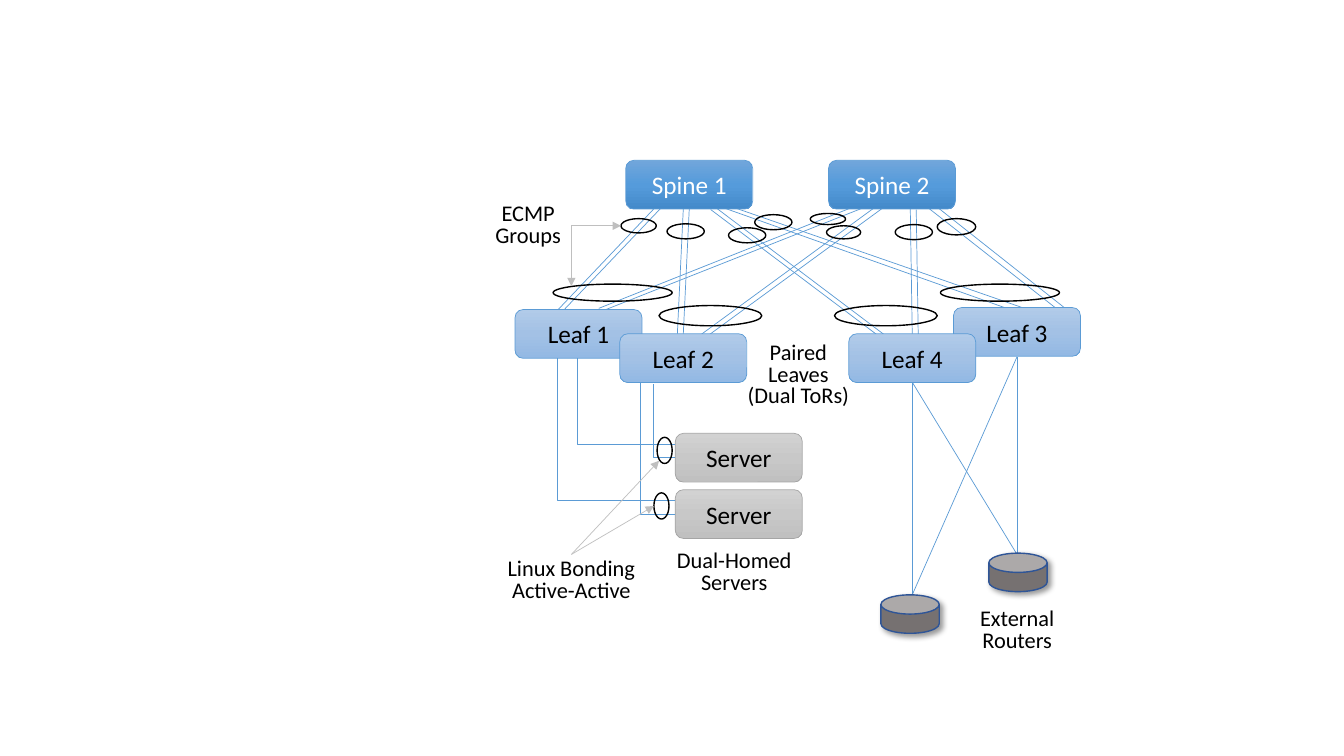
from copy import deepcopy
from itertools import product

from lxml import etree
from pptx import Presentation
from pptx.dml.color import RGBColor
from pptx.enum.shapes import MSO_CONNECTOR, MSO_SHAPE
from pptx.enum.text import MSO_ANCHOR, MSO_AUTO_SIZE, PP_ALIGN
from pptx.oxml.ns import qn
from pptx.util import Cm, Pt

ROUNDED, ELLIPSE, CAN = MSO_SHAPE.ROUNDED_RECTANGLE, MSO_SHAPE.OVAL, MSO_SHAPE.CAN
STRAIGHT, ELBOW = MSO_CONNECTOR.STRAIGHT, MSO_CONNECTOR.ELBOW
CENTER, MIDDLE = PP_ALIGN.CENTER, MSO_ANCHOR.MIDDLE
FIT_TEXT = MSO_AUTO_SIZE.SHAPE_TO_FIT_TEXT

BLACK = RGBColor(0x00, 0x00, 0x00)
WHITE = RGBColor(0xFF, 0xFF, 0xFF)
BLUE = RGBColor(0x5B, 0x9B, 0xD5)
GREY = RGBColor(0xA5, 0xA5, 0xA5)
ARROW_GREY = RGBColor(0xBF, 0xBF, 0xBF)
ROUTER_FILL = RGBColor(0x76, 0x71, 0x71)
ROUTER_LINE = RGBColor(0x2F, 0x55, 0x97)
SPINE_FILL = (RGBColor(0x71, 0xA6, 0xDB), RGBColor(0x55, 0x9B, 0xDB), RGBColor(0x44, 0x8A, 0xCA))
LEAF_FILL = (RGBColor(0xB1, 0xCB, 0xE9), RGBColor(0xA3, 0xC1, 0xE5), RGBColor(0x93, 0xB9, 0xE4))
SERVER_FILL = (RGBColor(0xD2, 0xD2, 0xD2), RGBColor(0xC8, 0xC8, 0xC8), RGBColor(0xC0, 0xC0, 0xC0))

# Each kind of node: gradient, line colour, text colour
SPINE = (SPINE_FILL, BLUE, WHITE)
LEAF = (LEAF_FILL, BLUE, BLACK)
SERVER = (SERVER_FILL, GREY, BLACK)

SERVER_LEFT = 17.02

# All positions below are in centimetres
SPINE_LINKS = [
    (16.64, 5.26, 14.22, 7.8), (16.48, 5.26, 14, 7.87),
    (17.37, 5.26, 17.22, 8.41), (17.22, 5.26, 17.07, 8.41),
    (18.01, 5.21, 22.28, 8.43), (17.91, 5.28, 22.2, 8.51),
    (18.44, 5.21, 25.76, 7.75), (18.16, 5.21, 26.16, 8.05),
    (21.77, 5.23, 15.27, 7.8), (21.59, 5.18, 15.09, 7.77),
    (22.45, 4.93, 17.53, 8.53), (22.81, 4.83, 17.88, 8.43),
    (22.94, 5.26, 22.99, 8.41), (23.09, 5.28, 23.14, 8.43),
    (23.42, 5.26, 26.59, 7.75), (23.67, 5.26, 26.82, 7.75),
]
LEAF_EXITS = [(22.99, 9.63), (25.63, 8.99)]
ROUTER_TOPS = [(25.63, 13.97), (22.99, 14.99)]
SERVER_LINKS = [(16.46, 9.68, 11.53), (16.15, 9.63, 12.95), (14.55, 9.02, 11.2), (14.05, 9.02, 12.6)]
SERVERS = [("Server", SERVER_LEFT, 10.92), ("Server", SERVER_LEFT, 12.34)]
SPINES = [("Spine 1", 15.77, 4.04), ("Spine 2", 20.88, 4.04)]
LEAVES = [("Leaf 1", 12.98, 7.8), ("Leaf 2", 15.62, 8.41),
          ("Leaf 3", 24.03, 7.75), ("Leaf 4", 21.39, 8.41)]
LINK_GROUPS = [
    (15.65, 5.51, 0.89, 0.36), (16.81, 5.64, 0.94, 0.38), (18.36, 5.74, 0.94, 0.38),
    (19.02, 5.41, 0.94, 0.38), (20.42, 5.38, 0.89, 0.28), (20.83, 5.69, 0.86, 0.33),
    (22.56, 5.66, 0.94, 0.38), (23.62, 5.51, 0.97, 0.41),
    (13.94, 7.16, 3, 0.43), (23.7, 7.16, 3, 0.43),
    (16.61, 7.7, 2.59, 0.51), (21.03, 7.7, 2.59, 0.51),
    (16.56, 11.02, 0.38, 0.66), (16.48, 12.42, 0.38, 0.66),
]
ARROWS = [
    (14.4, 5.69, 15.65, 5.69), (14.4, 5.69, 14.4, 7.21),
    (14.4, 13.97, 16.61, 11.61), (14.4, 13.97, 16.48, 12.75),
]
LABELS = [
    ("ECMP\nGroups", 12.22, 5.03, 2.18, 1.35),
    ("Paired\nLeaves\n(Dual ToRs)", 18.57, 8.53, 3.1, 1.9),
    ("Dual-Homed\nServers", 16.79, 13.77, 3.43, 1.35),
    ("Linux Bonding\nActive-Active", 12.52, 13.97, 3.76, 1.35),
    ("External\nRouters", 24.43, 15.24, 2.41, 1.35),
]
ROUTERS = [(24.92, 13.94), (22.2, 14.99)]


class NetworkDiagram:
    font_name = "Calibri"
    node_size = (3.2, 1.23)
    router_size = (1.47, 0.97)

    def __init__(self, slide):
        self.slide = slide

    def shape(self, kind, box, line_color, line_width):
        shape = self.slide.shapes.add_shape(kind, *map(Cm, box))
        shape.shadow.inherit = False
        shape.fill.background()
        shape.line.color.rgb = line_color
        shape.line.width = Pt(line_width)
        return shape

    def fill_text(self, text_frame, text, size, color, line_spacing=1.0):
        text_frame.text = text
        for paragraph in text_frame.paragraphs:
            paragraph.alignment = CENTER
            paragraph.line_spacing = line_spacing
            for run in paragraph.runs:
                run.font.name = self.font_name
                run.font.size = Pt(size)
                run.font.color.rgb = color

    def node(self, text, left, top, style):
        gradient, line_color, text_color = style
        shape = self.shape(ROUNDED, (left, top, *self.node_size), line_color, 0.5)
        shape.fill.gradient()
        shape.fill.gradient_angle = 270
        stop_list = shape.element.spPr.find(qn("a:gradFill")).find(qn("a:gsLst"))
        stop_list.append(deepcopy(stop_list[0]))
        for index, (stop, color) in enumerate(zip(shape.fill.gradient_stops, gradient)):
            stop.position = index / 2
            stop.color.rgb = color
        shape.text_frame.vertical_anchor = MIDDLE
        self.fill_text(shape.text_frame, text, 18, text_color)

    def group_ring(self, *box):
        self.shape(ELLIPSE, box, BLACK, 1)

    def router(self, left, top):
        shape = self.shape(CAN, (left, top, *self.router_size), ROUTER_LINE, 1)
        shape.adjustments[0] = 0.5
        shape.fill.solid()
        shape.fill.fore_color.rgb = ROUTER_FILL
        effects = shape.element.spPr.find(qn("a:effectLst"))
        shadow = etree.SubElement(effects, qn("a:outerShdw"), blurRad=str(Pt(4)),
                                  dist=str(Pt(3)), dir="2700000", algn="tl", rotWithShape="0")
        color = etree.SubElement(shadow, qn("a:srgbClr"), val=str(BLACK))
        etree.SubElement(color, qn("a:alpha"), val="40000")

    def link(self, *ends, color=BLUE, kind=STRAIGHT):
        connector = self.slide.shapes.add_connector(kind, *map(Cm, ends))
        connector.line.color.rgb = color
        connector.line.width = Pt(0.5)
        etree.SubElement(connector.element.spPr, qn("a:effectLst"))
        return connector

    def arrow(self, *ends):
        properties = self.link(*ends, color=ARROW_GREY).element.spPr
        etree.SubElement(properties.find(qn("a:ln")), qn("a:tailEnd"), type="triangle")

    def elbow(self, *ends):
        """Run down from the first point, then across to the second."""
        properties = self.link(*ends, kind=ELBOW).element.spPr
        properties.find(qn("a:prstGeom")).set("prst", "bentConnector2")
        properties.find(qn("a:xfrm")).set("rot", "10800000")

    def label(self, text, *box):
        text_frame = self.slide.shapes.add_textbox(*map(Cm, box)).text_frame
        text_frame.word_wrap = False
        text_frame.auto_size = FIT_TEXT
        self.fill_text(text_frame, text, 16, BLACK, line_spacing=0.8)


def main():
    presentation = Presentation()
    presentation.slide_width, presentation.slide_height = Cm(33.87), Cm(19.05)
    diagram = NetworkDiagram(presentation.slides.add_slide(presentation.slide_layouts[6]))

    for ends in SPINE_LINKS:
        diagram.link(*ends)
    for leaf_exit, router_top in product(LEAF_EXITS, ROUTER_TOPS):
        diagram.link(*leaf_exit, *router_top)
    for server in SERVERS:
        diagram.node(*server, SERVER)
    for left, top, bottom in SERVER_LINKS:
        diagram.elbow(left, top, SERVER_LEFT, bottom)
    for nodes, style in ((SPINES, SPINE), (LEAVES, LEAF)):
        for node in nodes:
            diagram.node(*node, style)
    for ring in LINK_GROUPS:
        diagram.group_ring(*ring)
    for ends in ARROWS:
        diagram.arrow(*ends)
    for label in LABELS:
        diagram.label(*label)
    for router in ROUTERS:
        diagram.router(*router)

    presentation.save("out.pptx")


if __name__ == "__main__":
    main()
